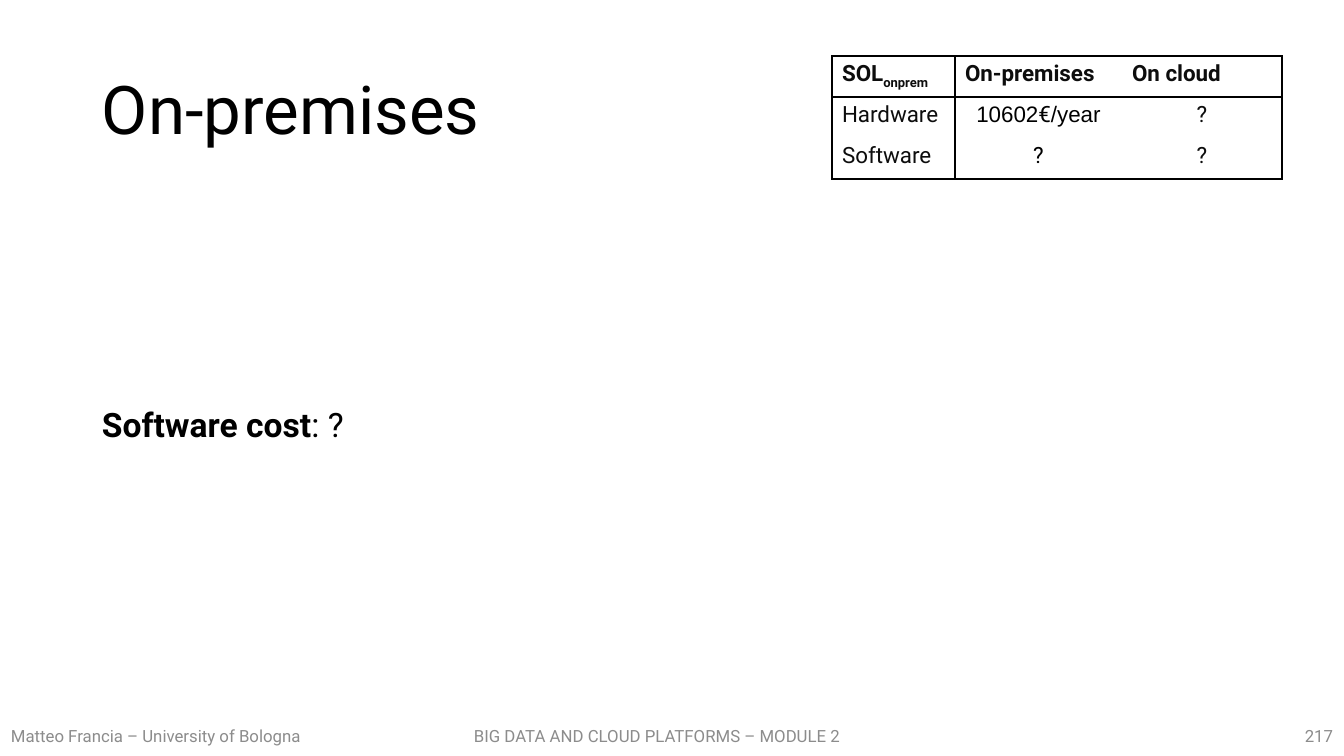
from pptx import Presentation
from pptx.dml.color import RGBColor
from pptx.enum.text import MSO_ANCHOR as ANCHOR, PP_ALIGN as ALIGN
from pptx.oxml import parse_xml
from pptx.oxml.ns import nsdecls
from pptx.util import Emu, Pt

BLACK, DARK, GREY, WHITE = "000000", "0D0D0D", "8C8C8C", "FFFFFF"


def px(n):
    return Emu(round(n * 914400 / 100.8))


def rgb(value):
    return RGBColor.from_string(value)


class Deck:
    font = "Roboto"

    def __init__(self, width, height):
        self.prs = Presentation()
        self.prs.slide_width, self.prs.slide_height = px(width), px(height)
        self.s = self.prs.slides.add_slide(self.prs.slide_layouts[6])

    def fill_paragraph(self, p, runs, size, color, align=ALIGN.LEFT, bold=None):
        p.alignment = align
        p.font.size = Pt(size)
        p.font.color.rgb = rgb(color)
        p.font.bold = bold
        fonts = {style.get("font", self.font) for _, style in runs}
        if len(fonts) == 1:
            p.font.name = fonts.pop()
        for words, style in runs:
            r = p.add_run()
            r.text = words
            if not p.font.name:
                r.font.name = style.get("font", self.font)
            if "bold" in style:
                r.font.bold = style["bold"]
            if "baseline" in style:
                r._r.get_or_add_rPr().set("baseline", str(style["baseline"]))

    def text(self, box, runs, size, color=BLACK, align=ALIGN.LEFT, spacing=None):
        tf = self.s.shapes.add_textbox(*map(px, box)).text_frame
        tf.word_wrap = True
        tf.vertical_anchor = ANCHOR.MIDDLE
        p = tf.paragraphs[0]
        p.line_spacing = spacing
        self.fill_paragraph(p, runs, size, color, align)

    def border(self, cell, side, shown):
        fill = f'<a:solidFill><a:srgbClr val="{BLACK}"/></a:solidFill>' if shown else "<a:noFill/>"
        line = f'<a:ln{side} {nsdecls("a")} w="{Pt(1)}">{fill}</a:ln{side}>'
        cell._tc.get_or_add_tcPr().append(parse_xml(line))

    def table(self, left, top, widths, row_height, rows):
        box = (left, top, sum(widths), row_height * len(rows))
        table = self.s.shapes.add_table(len(rows), len(widths), *map(px, box)).table
        table.first_row = table.horz_banding = False
        for column, width in zip(table.columns, widths):
            column.width = px(width)
        for i, row in enumerate(rows):
            table.rows[i].height = px(row_height)
            for j, (runs, color) in enumerate(row):
                cell = table.cell(i, j)
                sides = {"L": j < 2, "R": j != 1, "T": i < 2, "B": i != 1}
                for side, shown in sides.items():
                    self.border(cell, side, shown)
                cell.fill.solid()
                cell.fill.fore_color.rgb = rgb(WHITE)
                align = ALIGN.CENTER if i and j else ALIGN.LEFT
                self.fill_paragraph(cell.text_frame.paragraphs[0], runs, 16, color, align, i == 0)


def plain(words, color=DARK):
    return [(words, {})], color


def main():
    deck = Deck(1344, 756)
    deck.text((464, 716, 416, 40), [("BIG DATA AND CLOUD PLATFORMS – MODULE 2", {})], 12, GREY)
    deck.text((92, 40, 1159, 146), [("On-premises", {})], 48, spacing=0.9)
    deck.text((92, 187, 1159, 480),
              [("Software cost", {"bold": True}), (": ?", {})], 24, spacing=0.9)
    deck.text((0, 716, 312, 40), [("Matteo Francia – University of Bologna", {})],
              12, GREY, ALIGN.CENTER)
    deck.text((1041, 716, 302, 40), [("217", {})], 12, GREY, ALIGN.RIGHT)

    arial = {"font": "Arial"}
    solution = [("SOL", {}), ("onprem", {"baseline": -25000})], DARK
    hardware_cost = [("10602", arial), ("€", {}), ("/year", arial)], BLACK
    deck.table(832, 56, (123, 167, 160), 41, [
        [solution, plain("On-premises"), plain("On cloud")],
        [plain("Hardware"), hardware_cost, plain("?")],
        [plain("Software"), plain("?", BLACK), plain("?")],
    ])
    deck.prs.save("out.pptx")


if __name__ == "__main__":
    main()
